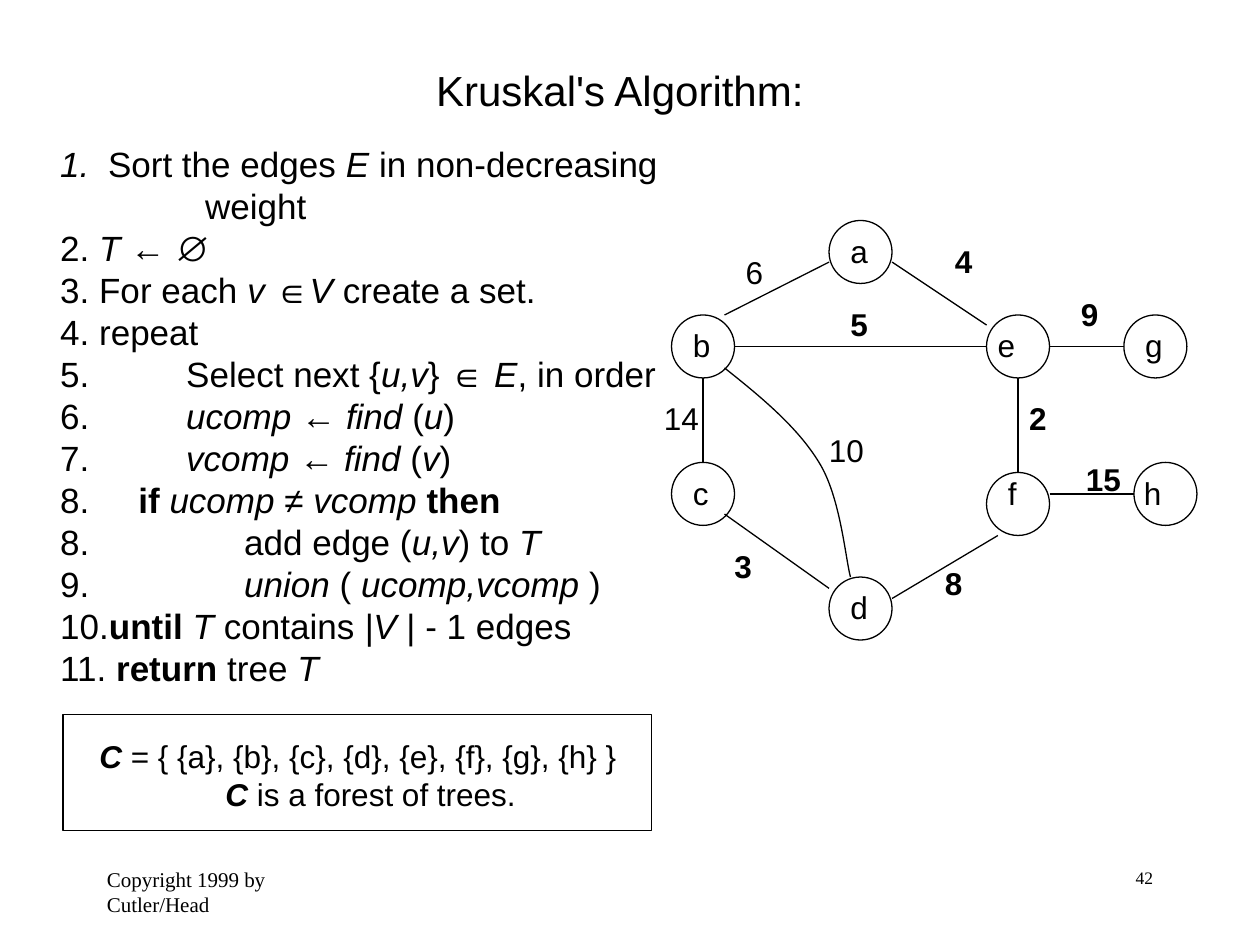
from lxml import etree
from pptx import Presentation
from pptx.dml.color import RGBColor
from pptx.enum.shapes import MSO_CONNECTOR, MSO_SHAPE
from pptx.enum.text import MSO_ANCHOR, PP_ALIGN
from pptx.oxml.ns import qn
from pptx.util import Inches, Pt

STRAIGHT = MSO_CONNECTOR.STRAIGHT
OVAL, RECTANGLE = MSO_SHAPE.OVAL, MSO_SHAPE.RECTANGLE
LEFT, CENTER, RIGHT = PP_ALIGN.LEFT, PP_ALIGN.CENTER, PP_ALIGN.RIGHT
TOP, MIDDLE = MSO_ANCHOR.TOP, MSO_ANCHOR.MIDDLE
BLACK = "000000"
NODE_SIZE = 0.5
LABEL_HEIGHT = 0.4

STEPS = [
    (0, 0.38, [("1.", "i"), ("\tSort the edges ", ""), ("E", "i"), (" in non-decreasing", "")]),
    (1.15, 0, [("weight", "")]),
    (0, 0, [("2. ", ""), ("T ", "i"), ("← ∅", "")]),
    (0, 0, [("3. For each ", ""), ("v ", "i"), ("∈", ""), ("V ", "i"), ("create a set.", "")]),
    (0, 0, [("4. repeat", "")]),
    (0, 1, [("5.\tSelect next {", ""), ("u,v", "i"), ("} ∈ ", ""), ("E", "i"), (", in order", "")]),
    (0, 1, [("6.\t", ""), ("ucomp ", "i"), ("← ", ""), ("find", "i"), (" (", ""), ("u", "i"), (")", "")]),
    (0, 1, [("7.\t", ""), ("vcomp ", "i"), ("← ", ""), ("find", "i"), (" (", ""), ("v", "i"), (")", "")]),
    (0, 0.62, [("8.\t", ""), ("if ", "b"), ("ucomp ≠ vcomp ", "i"), ("then", "b")]),
    (0, 1.46, [("8.\tadd edge (", ""), ("u,v", "i"), (") to ", ""), ("T", "i")]),
    (0, 1.46, [("9.\t", ""), ("union", "i"), (" ( ", ""), ("ucomp,vcomp", "i"), (" )", "")]),
    (0, 0, [("10.", ""), ("until ", "b"), ("T", "i"), (" contains ", ""), ("|V", "i"), (" | - 1 edges", "")]),
    (0, 0, [("11. ", ""), ("return ", "b"), ("tree ", ""), ("T", "i")]),
]
FOREST = [
    (0, 0, [("C ", "bi"), ("= { {a}, {b}, {c}, {d}, {e}, {f}, {g}, {h} }", "")]),
    (1, 0, [("C ", "bi"), ("is a forest of trees.", "")]),
]
NODES = {
    "a": (6.58, 1.75, 6.65, 1.79),
    "b": (5.33, 2.5, 5.4, 2.54),
    "c": (5.33, 3.67, 5.4, 3.71),
    "d": (6.58, 4.58, 6.65, 4.62),
    "e": (7.83, 2.5, 7.82, 2.54),
    "f": (7.83, 3.75, 7.9, 3.71),
    "g": (8.92, 2.5, 8.99, 2.54),
    "h": (9, 3.67, 8.98, 3.71),
}
EDGES = [
    (5.58, 3, 5.58, 3.67),
    (5.75, 2.5, 6.58, 2.08),
    (5.75, 4.08, 6.58, 4.67),
    (7.08, 4.75, 7.92, 4.25),
    (7.08, 2.08, 7.83, 2.58),
    (8.08, 3, 8.08, 3.75),
    (5.83, 2.75, 7.83, 2.75),
    (8.33, 2.75, 8.92, 2.75),
    (8.33, 3.92, 9, 3.92),
]
CURVE = [(5.75, 2.92), (6.04, 3.15), (6.33, 3.39), (6.5, 3.67),
         (6.67, 3.94), (6.71, 4.43), (6.75, 4.58)]
WEIGHTS = [
    ("6", "", 5.82, 1.96), ("4", "b", 7.48, 1.87), ("5", "b", 6.65, 2.37),
    ("2", "b", 8.07, 3.12), ("9", "b", 8.48, 2.29), ("15", "b", 8.52, 3.6),
    ("8", "b", 7.4, 4.43), ("10", "", 6.48, 3.37), ("14", "", 5.17, 3.12),
    ("3", "b", 5.73, 4.29),
]


def color(value):
    return RGBColor.from_string(value)


def style_font(font, size, name="Arial", style=""):
    font.size = Pt(size)
    font.name = name
    font.bold = "b" in style
    font.italic = "i" in style
    font.color.rgb = color(BLACK)


def add_text(page, place, text, size, name="Arial", style="",
             align=LEFT, anchor=TOP, wrap=True):
    box = page.shapes.add_textbox(*map(Inches, place))
    frame = box.text_frame
    frame.word_wrap = wrap
    frame.vertical_anchor = anchor
    frame.text = text
    para = frame.paragraphs[0]
    para.alignment = align
    style_font(para.runs[0].font, size, name, style)


def add_label(page, text, left, top, style=""):
    width = 0.34 if len(text) == 1 else 0.48
    add_text(page, (left, top, width, LABEL_HEIGHT), text, 18, style=style, wrap=False)


def add_lines(page, place, lines, size):
    frame = page.shapes.add_textbox(*map(Inches, place)).text_frame
    frame.word_wrap = True
    for index, (margin, tab, runs) in enumerate(lines):
        para = frame.paragraphs[0] if index == 0 else frame.add_paragraph()
        para.line_spacing = Pt(size * 1.2)
        properties = para._p.get_or_add_pPr()
        properties.set("marL", str(Inches(margin)))
        if tab:
            tabs = etree.SubElement(properties, qn("a:tabLst"))
            etree.SubElement(tabs, qn("a:tab"), pos=str(Inches(tab)), algn="l")
        for text, style in runs:
            span = para.add_run()
            span.text = text
            style_font(span.font, size, style=style)


def style_outline(shape):
    shape.line.color.rgb = color(BLACK)
    shape.line.width = Pt(0.75)


def add_outline(page, kind, place):
    shape = page.shapes.add_shape(kind, *map(Inches, place))
    shape.shadow.inherit = False
    shape.fill.background()
    style_outline(shape)


def add_edge(page, ends):
    edge = page.shapes.add_connector(STRAIGHT, *map(Inches, ends))
    style_outline(edge)
    etree.SubElement(edge._element.spPr, qn("a:effectLst"))


def add_curve(page, points):
    start, *rest = [(Inches(x), Inches(y)) for x, y in points]
    builder = page.shapes.build_freeform(*start)
    builder.add_line_segments(rest, close=False)
    curve = builder.convert_to_shape()
    segments = curve._element.findall(".//" + qn("a:lnTo"))
    for first in range(0, len(segments), 3):
        group = segments[first:first + 3]
        bezier = etree.Element(qn("a:cubicBezTo"))
        group[0].addprevious(bezier)
        for segment in group:
            bezier.append(segment[0])
            segment.getparent().remove(segment)
    curve.shadow.inherit = False
    curve.fill.background()
    style_outline(curve)


def main():
    deck = Presentation()
    deck.slide_width, deck.slide_height = Inches(10), Inches(7.5)
    page = deck.slides.add_slide(deck.slide_layouts[6])
    for left, top, _, _ in NODES.values():
        add_outline(page, OVAL, (left, top, NODE_SIZE, NODE_SIZE))
    for ends in EDGES:
        add_edge(page, ends)
    add_curve(page, CURVE)
    for text, style, left, top in WEIGHTS:
        add_label(page, text, left, top, style)
    for name, (_, _, left, top) in NODES.items():
        add_label(page, name, left, top)
    add_outline(page, RECTANGLE, (0.5, 5.67, 4.67, 0.92))
    add_lines(page, (0.69, 5.8, 4.4, 0.7), FOREST, 18)
    add_text(page, (0.67, 0.25, 8.5, 0.92), "Kruskal's Algorithm:", 24,
             align=CENTER, anchor=MIDDLE)
    add_lines(page, (0.38, 1.08, 5.04, 4.5), STEPS, 20)
    add_text(page, (7.17, 6.83, 2.08, 0.5), "42", 10, "Times New Roman", align=RIGHT)
    add_text(page, (0.75, 6.83, 2.08, 0.5), "Copyright 1999 by Cutler/Head", 12,
             "Times New Roman")
    deck.save("out.pptx")


if __name__ == "__main__":
    main()
